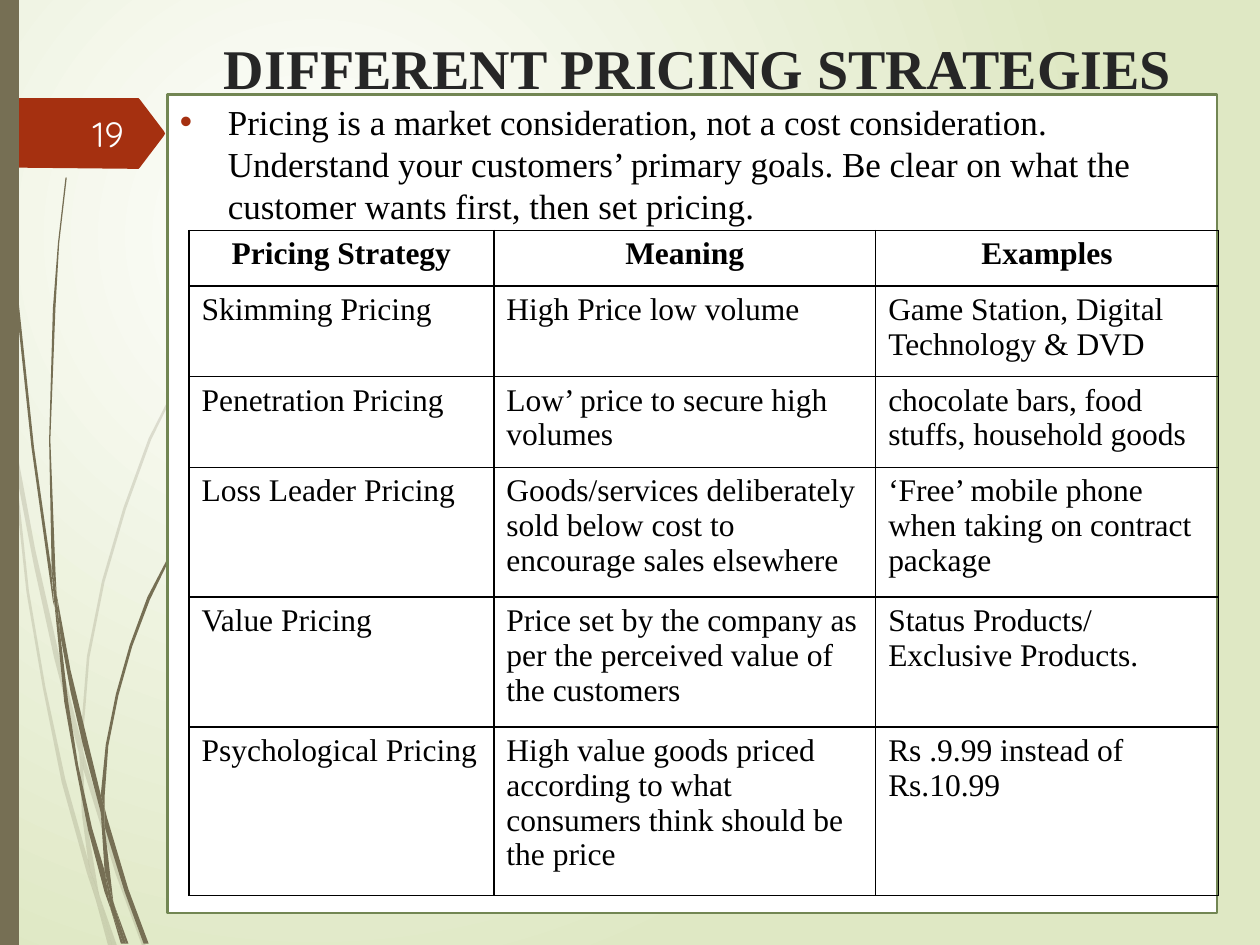
"""Build the pricing strategies slide: grass strands, page tag, title, body text and table."""
from pptx import Presentation
from pptx.dml.color import RGBColor
from pptx.enum.shapes import MSO_SHAPE
from pptx.enum.text import MSO_ANCHOR, PP_ALIGN
from pptx.oxml import parse_xml
from pptx.oxml.ns import qn
from pptx.util import Pt
from lxml.etree import SubElement

PX = 9144
SERIF = "Times New Roman"
OLIVE, RUST, BLACK, WHITE = "766F54", "A53010", "000000", "FFFFFF"
NAMESPACE = 'xmlns:a="http://schemas.openxmlformats.org/drawingml/2006/main"'


def color(value):
    return RGBColor.from_string(value)


def write(frame, text, size, ink, font=SERIF, align=PP_ALIGN.LEFT, bold=False):
    frame.word_wrap = True
    para = frame.paragraphs[0]
    para.alignment = align
    span = para.add_run()
    span.text = text
    span.font.name = font
    span.font.size = Pt(size)
    span.font.bold = bold
    span.font.color.rgb = color(ink)
    return para


deck = Presentation()
deck.slide_width, deck.slide_height = 1000 * PX, 750 * PX
page = deck.slides.add_slide(deck.slide_layouts[6])

backdrop = page.background.fill
backdrop.gradient()
for stop, tone in zip(backdrop.gradient_stops, (WHITE, "DFE8C4")):
    stop.color.rgb = color(tone)
backdrop.gradient_stops[0].position = 0
backdrop.gradient_stops[1].position = 1
gradient = page.element.xpath(".//a:gradFill")[0]
for linear in gradient.findall(qn("a:lin")):
    gradient.remove(linear)
gradient.append(parse_xml(
    f'<a:path {NAMESPACE} path="circle">'
    '<a:fillToRect l="50000" t="50000" r="100000" b="100000"/></a:path>'))

pale_strands = [
    [(8, 350), (6, 322), (0, 282), (0, 299), (8, 344)],
    [(43, 522), (63, 599), (64, 586), (47, 520), (28, 436), (11, 345), (13, 376), (27, 449)],
    [(69, 607), (66, 596), (66, 610), (92, 694), (113, 751), (116, 751), (95, 692)],
    [(89, 751), (93, 751), (79, 711)],
    [(70, 683), (52, 619), (36, 545), (23, 469), (13, 376), (8, 350), (21, 470),
     (34, 546), (49, 621), (69, 693), (76, 714), (74, 707)],
    [(63, 599), (65, 646), (70, 683), (72, 692), (79, 711), (78, 706), (68, 646), (66, 608)],
    [(66, 584), (71, 522), (83, 462), (100, 404), (120, 349), (171, 245), (201, 198),
     (217, 175), (234, 154), (234, 153), (217, 175), (201, 197), (171, 244), (118, 348),
     (98, 403), (81, 461), (69, 521), (64, 584), (64, 586), (66, 596)],
    [(76, 714), (86, 751), (89, 751)],
    [(66, 608), (66, 596), (64, 586), (63, 599)],
    [(72, 692), (70, 683), (74, 707), (76, 714), (89, 751), (79, 711)],
]
dark_strands = [
    [(5, 110), (12, 233), (25, 355), (42, 477), (43, 481), (41, 457), (41, 453),
     (27, 355), (14, 232), (6, 109), (3, 48), (3, 0), (2, 0), (3, 48)],
    [(66, 592), (80, 645), (80, 631), (70, 590), (56, 532), (45, 472), (48, 505), (56, 549)],
    [(85, 649), (83, 641), (83, 656), (99, 708), (114, 749), (118, 749), (102, 706)],
    [(83, 691), (73, 657), (62, 607), (54, 556), (48, 505), (43, 477), (51, 557),
     (60, 608), (70, 659), (83, 708), (88, 722), (87, 717)],
    [(45, 472), (44, 453), (40, 349), (44, 245), (47, 193), (53, 141), (52, 141),
     (46, 193), (42, 245), (39, 349), (41, 449)],
    [(100, 749), (102, 749), (91, 719)],
    [(43, 477), (48, 505), (45, 472), (41, 449), (41, 453)],
    [(83, 633), (86, 592), (94, 552), (105, 513), (119, 476), (153, 406), (173, 374),
     (184, 359), (196, 344), (195, 344), (184, 358), (173, 373), (153, 405), (117, 474),
     (103, 512), (92, 551), (84, 591), (80, 631), (83, 641)],
    [(88, 722), (96, 749), (98, 749)],
    [(80, 645), (83, 691), (87, 706), (91, 719), (90, 716), (83, 656), (81, 651)],
    [(80, 645), (81, 651), (83, 656), (83, 641), (80, 631)],
    [(87, 706), (83, 691), (87, 717), (88, 722), (98, 749), (100, 749), (91, 719)],
]
page_tag = [(130, 108), (111, 133), (110, 134), (102, 134), (0, 133), (0, 78),
            (110, 78), (111, 79), (130, 104), (131, 106)]
outlines = [(strand, OLIVE, 20) for strand in pale_strands]
outlines += [(strand, OLIVE, 100) for strand in dark_strands]
outlines.append((page_tag, RUST, 100))
for points, tone, opacity in outlines:
    builder = page.shapes.build_freeform(*points[0], scale=PX)
    builder.add_line_segments(points[1:], close=True)
    outline = builder.convert_to_shape()
    outline.shadow.inherit = False
    outline.line.fill.background()
    outline.fill.solid()
    outline.fill.fore_color.rgb = color(tone)
    if opacity < 100:
        shade = outline.fill._xPr.find(qn("a:solidFill"))[0]
        SubElement(shade, qn("a:alpha")).set("val", str(opacity * 1000))

side_bar = page.shapes.add_shape(MSO_SHAPE.RECTANGLE, 0, 0, 15 * PX, 750 * PX)
side_bar.line.fill.background()
panel = page.shapes.add_shape(MSO_SHAPE.RECTANGLE, 133 * PX, 75 * PX, 833 * PX, 650 * PX)
panel.line.color.rgb = color("728653")
panel.line.width = Pt(1.25)
for box, tone in ((side_bar, OLIVE), (panel, WHITE)):
    box.shadow.inherit = False
    box.fill.solid()
    box.fill.fore_color.rgb = color(tone)

title = page.shapes.add_textbox(133 * PX, 17 * PX, 842 * PX, 50 * PX).text_frame
title.margin_top = 10 * PX
write(title, "DIFFERENT PRICING STRATEGIES", 32, "262626", align=PP_ALIGN.CENTER, bold=True)

panel.text_frame.vertical_anchor = MSO_ANCHOR.TOP
para = write(panel.text_frame, "Pricing is a market consideration, not a cost consideration. "
             "Understand your customers’ primary goals. Be clear on what the customer wants "
             "first, then set pricing.", 20, BLACK)
para.space_before = Pt(10)
layout = para._p.get_or_add_pPr()
layout.set("marL", str(38 * PX))
layout.set("indent", str(-38 * PX))
bullet_color = SubElement(layout, qn("a:buClr"))
SubElement(bullet_color, qn("a:srgbClr")).set("val", RUST)
SubElement(layout, qn("a:buFont")).set("typeface", "Arial")
SubElement(layout, qn("a:buChar")).set("char", "•")

number = page.shapes.add_textbox(44 * PX, 86 * PX, 64 * PX, 40 * PX).text_frame
number.vertical_anchor = MSO_ANCHOR.MIDDLE
write(number, "19", 20, "FEFFFF", font="Quicksand", align=PP_ALIGN.RIGHT)

rows = [
    ("Pricing Strategy", "Meaning", "Examples"),
    ("Skimming Pricing", "High Price low volume", "Game Station, Digital Technology & DVD"),
    ("Penetration Pricing", "Low’ price to secure high volumes",
     "chocolate bars, food stuffs, household goods"),
    ("Loss Leader Pricing", "Goods/services deliberately sold below cost to encourage sales elsewhere",
     "‘Free’ mobile phone when taking on contract package"),
    ("Value Pricing", "Price set by the company as per the perceived value of the customers",
     "Status Products/ Exclusive Products."),
    ("Psychological Pricing",
     "High value goods priced according to what consumers think should be the price",
     "Rs .9.99 instead of Rs.10.99"),
]
widths = (242, 303, 272)
heights = (44, 72, 72, 103, 103, 134)
table = page.shapes.add_table(len(rows), len(widths), 150 * PX, 183 * PX,
                              sum(widths) * PX, sum(heights) * PX).table
for column, width in zip(table.columns, widths):
    column.width = width * PX
for r, (row, height) in enumerate(zip(rows, heights)):
    table.rows[r].height = height * PX
    for c, text in enumerate(row):
        cell = table.cell(r, c)
        write(cell.text_frame, text, 18, BLACK, bold=r == 0,
              align=PP_ALIGN.LEFT if r else PP_ALIGN.CENTER)
        borders = cell._tc.get_or_add_tcPr()
        for side in ("lnL", "lnR", "lnT", "lnB"):
            borders.append(parse_xml(
                f'<a:{side} {NAMESPACE} w="12700"><a:solidFill>'
                f'<a:srgbClr val="{BLACK}"/></a:solidFill></a:{side}>'))
        cell.fill.background()

deck.save("out.pptx")
